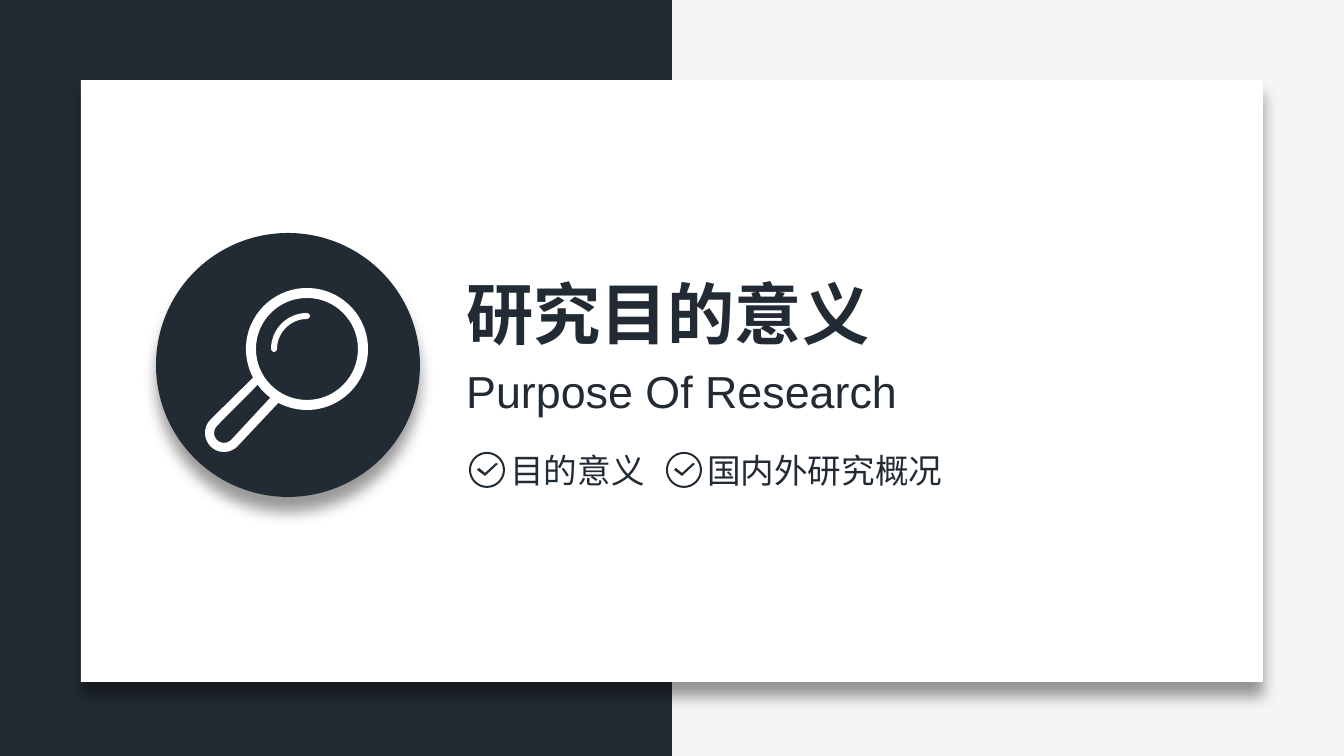
import math
from lxml import etree
from pptx import Presentation
from pptx import util as u
from pptx.dml.color import RGBColor
from pptx.enum import shapes, text
from pptx.oxml.ns import qn

EMU_PER_PX = 914400 / 134.4
WIDTH, HEIGHT = 1344, 756
NAVY, WHITE, PALE = "222B34", "FFFFFF", "F6F4F7"
CJK, LATIN = "Noto Sans CJK SC", "Arial"
RECT, OVAL = shapes.MSO_SHAPE.RECTANGLE, shapes.MSO_SHAPE.OVAL


def px(length):
    return u.Emu(round(length * EMU_PER_PX))


def paint(fill, colour):
    fill.solid()
    fill.fore_color.rgb = RGBColor.from_string(colour)


def flat(shape, colour):
    """Plain fill, without line or shadow."""
    paint(shape.fill, colour)
    shape.line.fill.background()
    shape.shadow.inherit = False
    return shape


def add_panel(slide, kind, box, colour):
    return flat(slide.shapes.add_shape(kind, *map(px, box)), colour)


def drop_shadow(shape):
    effects = shape._element.spPr.find(qn("a:effectLst"))
    shadow = etree.SubElement(effects, qn("a:outerShdw"), blurRad=str(u.Pt(8)), dist=str(u.Pt(8)),
                              dir="5400000", algn="t", rotWithShape="0")
    black = etree.SubElement(shadow, qn("a:srgbClr"), val="000000")
    etree.SubElement(black, qn("a:alpha"), val="40000")


def arc(centre, radius, start, end):
    """Bezier points of an arc, split on the axes; degrees run clockwise from the right."""
    low, high = sorted((start, end))
    stops = [low, *range((low // 90 + 1) * 90, high, 90), high]
    if start > end:
        stops.reverse()

    def spot(angle, along=0):
        c, s = math.cos(angle), math.sin(angle)
        return centre[0] + radius * (c - along * s), centre[1] + radius * (s + along * c)

    points = [spot(math.radians(start))]
    for a, b in zip(map(math.radians, stops), map(math.radians, stops[1:])):
        reach = 4 / 3 * math.tan((b - a) / 4)
        points += [spot(a, reach), spot(b, -reach), spot(b)]
    return points


def join(first, *others):
    """Link runs of Bezier points by straight segments."""
    contour = list(first)
    for run in others:
        contour += run[:1] * 3 + run[1:]
    return contour


def bend(shape):
    """Turn each three line segments of an outline into one Bezier curve."""
    lines = list(shape._element.iter(qn("a:lnTo")))
    for trio in zip(lines[::3], lines[1::3], lines[2::3]):
        curve = etree.Element(qn("a:cubicBezTo"))
        trio[0].addprevious(curve)
        for line in trio:
            curve.append(line[0])
            line.getparent().remove(line)


def add_outline(group, left, top, contours, colour):
    """Fill closed Bezier contours as one outline; inner contours become holes."""
    placed = [[(px(left + x), px(top + y)) for x, y in contour] for contour in contours]
    builder = group.shapes.build_freeform(*placed[0][0])
    for i, contour in enumerate(placed):
        if i:
            builder.move_to(*contour[0])
        builder.add_line_segments(contour[1:], close=True)
    bend(flat(builder.convert_to_shape(), colour))


def add_text(slide, box, words, font, size, bold=False):
    frame = slide.shapes.add_textbox(*map(px, box)).text_frame
    frame.word_wrap = False
    frame.auto_size = text.MSO_AUTO_SIZE.SHAPE_TO_FIT_TEXT
    frame.text = words
    run = frame.paragraphs[0].runs[0]
    run.font.name, run.font.size, run.font.bold = font, u.Pt(size), bold
    run.font.color.rgb = RGBColor.from_string(NAVY)
    etree.SubElement(run.font._element, qn("a:ea"), typeface=font)


def add_backdrop(slide):
    paint(slide.background.fill, PALE)
    add_panel(slide, RECT, (0, 0, WIDTH // 2, HEIGHT), NAVY)
    drop_shadow(add_panel(slide, RECT, (81, 80, WIDTH - 2 * 81, 602), WHITE))


def add_magnifier(slide, left, top, size):
    drop_shadow(add_panel(slide, OVAL, (left, top, size, size), NAVY))
    icon = slide.shapes.add_group_shape()
    lens, grip = (151, 116), (68, 200)
    silhouette = join(arc(lens, 61, 152, 478), arc(grip, 19, 45, 225))
    handle_hole = join(arc(grip, 10, 45, 225), arc(lens, 61, 144, 127))
    lens_hole = arc(lens, 51, 0, 360)
    add_outline(icon, left, top, [silhouette, handle_hole, lens_hole], WHITE)
    gleam = join(arc(lens, 36, 180, 270), arc((lens[0], lens[1] - 33), 3, -90, 90),
                 arc(lens, 30, 270, 180), arc((lens[0] - 33, lens[1]), 3, 0, 180))
    add_outline(icon, left, top, [gleam], WHITE)


def add_topic(slide, left, top, width, words):
    """A ticked circle followed by its topic."""
    badge = slide.shapes.add_group_shape()
    ring = [arc((18, 18), radius, 0, 360) for radius in (18, 16)]
    tick = join(*[[corner] for corner in [(8, 18), (10, 16), (16, 21), (27, 11), (29, 12), (16, 24)]])
    add_outline(badge, left, top, ring, NAVY)
    add_outline(badge, left, top, [tick], NAVY)
    add_text(slide, (left + 28, top - 9, width, 54), words, CJK, 18)


def add_heading(slide, left, top):
    add_text(slide, (left, top, 434, 95), "研究目的意义", CJK, 36, True)
    add_text(slide, (left, top + 91, 462, 67), "Purpose Of Research", LATIN, 24)
    for offset, width, words in [(16, 163, "目的意义"), (213, 265, "国内外研究概况")]:
        add_topic(slide, left + offset, top + 186, width, words)


def main():
    deck = Presentation()
    deck.slide_width, deck.slide_height = px(WIDTH), px(HEIGHT)
    slide = deck.slides.add_slide(deck.slide_layouts[6])
    add_backdrop(slide)
    add_magnifier(slide, 156, 233, 264)
    add_heading(slide, 453, 266)
    deck.save("out.pptx")


if __name__ == "__main__":
    main()
